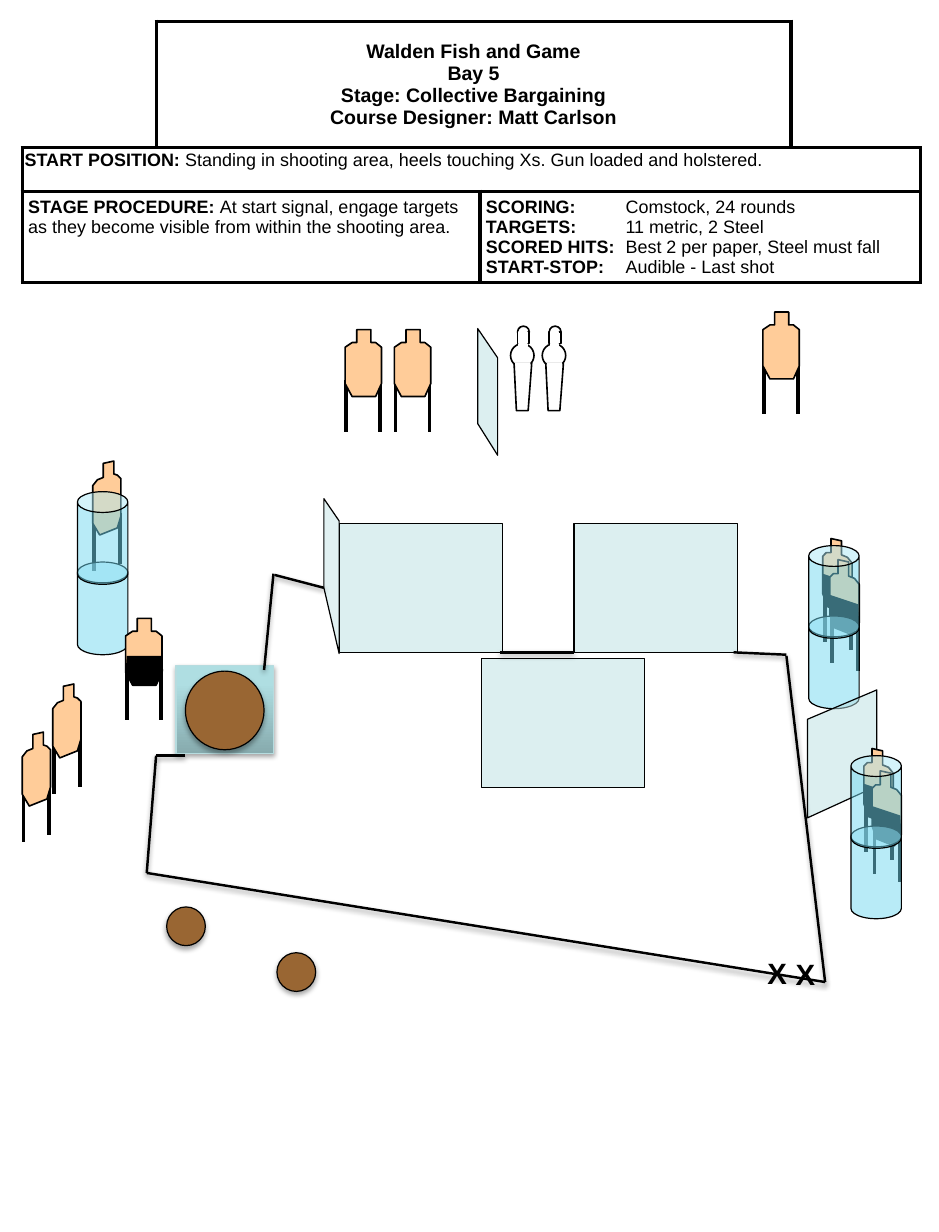
from dataclasses import dataclass
from typing import Any, Optional

from lxml.etree import SubElement
from pptx import Presentation
from pptx.dml.color import RGBColor
from pptx.enum.shapes import MSO_CONNECTOR as Link, MSO_SHAPE as Shape
from pptx.enum.text import MSO_ANCHOR as Anchor, PP_ALIGN as Align
from pptx.oxml import parse_xml
from pptx.oxml.ns import nsdecls, qn
from pptx.util import Emu, Inches, Pt

Point = tuple[float, float]

COLORS = {"ink": "000000", "paper": "FFFFFF", "cardboard": "FFCC99", "barrel": "73D9F1",
          "wall": "BBE0E3", "wood": "996633", "table edge": "B6DCDF",
          "table dark": "87ABAE", "table light": "AFDEE2"}


@dataclass(frozen=True)
class Target:
    outline: list[Point]
    legs: list[Point]
    cover: list[Point]


@dataclass(frozen=True)
class Region:
    row: int
    first: int
    last: int
    sides: str
    lines: list[tuple[str, str]]
    size: float = 11
    inset: Point = (0.05, 0.05)
    style: Optional[dict[str, Any]] = None


FRONT = Target(
    [(.1, 0), (.22, 0), (.22, .11), (.26, .11), (.31, .15), (.31, .46), (.26, .57),
     (.06, .57), (0, .46), (0, .15), (.06, .11), (.1, .11)],
    [(.01, .43), (.3, .43)],
    [(.01, .32), (.31, .32), (.32, .45), (.26, .57), (.06, .57), (0, .46)])
RIGHT = Target(
    [(.16, .02), (.07, 0), (.07, .12), (.03, .12), (0, .15), (0, .47), (.04, .58),
     (.19, .64), (.25, .54), (.25, .21), (.21, .16), (.16, .14)],
    [(.24, .51), (.02, .44)],
    [(.25, .54), (.19, .63), (.04, .58), (0, .46), (0, .3), (.24, .38)])
LEFT = Target(
    [(.09, .02), (.18, 0), (.18, .11), (.21, .12), (.24, .15), (.24, .47), (.21, .57),
     (.06, .63), (0, .53), (0, .21), (.04, .16), (.09, .14)],
    [(.01, .5), (.23, .44)], [])

REGIONS = [
    Region(0, 0, 0, "RB", []),
    Region(0, 1, 2, "LRTB", [(line, "") for line in (
        "Walden Fish and Game", "Bay 5", "Stage: Collective Bargaining",
        "Course Designer: Matt Carlson")], 12, style={"alignment": Align.CENTER}),
    Region(0, 3, 3, "LB", []),
    Region(1, 0, 3, "LRTB", [("START POSITION:", " Standing in shooting area, heels "
           "touching Xs. Gun loaded and holstered.")], inset=(0.02, 0.04),
           style={"line_spacing": 0.9}),
    Region(2, 0, 1, "LRTB", [("STAGE PROCEDURE: ", "At start signal, engage targets as "
           "they become visible from within the shooting area.")]),
    Region(2, 2, 3, "LRTB", [
        ("SCORING:", "\tComstock, 24 rounds"), ("TARGETS:", "\t11 metric, 2 Steel"),
        ("SCORED HITS:", "\tBest 2 per paper, Steel must fall"),
        ("START-STOP:", "\tAudible - Last shot")]),
]


def rgb(color: str) -> RGBColor:
    return RGBColor.from_string(COLORS[color])


def apply(thing: Any, values: dict[str, Any]) -> None:
    for name, value in values.items():
        setattr(thing, name, value)


def paint(shape: Any, fill: str, line: Optional[str] = "ink", width: float = 0.75,
          opacity: int = 100) -> None:
    shape.shadow.inherit = False
    shape.fill.solid()
    shape.fill.fore_color.rgb = rgb(fill)
    if opacity < 100:
        tint = shape.fill._xPr.find(qn("a:solidFill"))[0]
        SubElement(tint, qn("a:alpha"), val=str(opacity * 1000))
    if line is None:
        shape.line.fill.background()
    else:
        shape.line.color.rgb = rgb(line)
        shape.line.width = Pt(width)


def cast_shadow(shape: Any, opacity: int) -> None:
    properties = shape._element.spPr
    for old in properties.findall(qn("a:effectLst")):
        properties.remove(old)
    properties.append(parse_xml(
        f'<a:effectLst {nsdecls("a")}><a:outerShdw blurRad="{Pt(3.1)}" dist="{Pt(1.7)}" '
        f'dir="5400000" rotWithShape="0"><a:srgbClr val="{COLORS["ink"]}">'
        f'<a:alpha val="{opacity * 1000}"/></a:srgbClr></a:outerShdw></a:effectLst>'))


def preset(canvas: Any, kind: Any, x: float, y: float, w: float, h: float) -> Any:
    return canvas.add_shape(kind, Inches(x), Inches(y), Inches(w), Inches(h))


def outline(canvas: Any, points: list[Point], x: float = 0, y: float = 0) -> Any:
    corners = [(Inches(x + dx), Inches(y + dy)) for dx, dy in points]
    builder = canvas.build_freeform(*corners[0])
    builder.add_line_segments(corners[1:], close=True)
    return builder.convert_to_shape()


def segment(canvas: Any, start: Point, end: Point, width: float) -> Any:
    line = canvas.add_connector(Link.STRAIGHT, *(Inches(v) for v in start + end))
    line.line.color.rgb = rgb("ink")
    line.line.width = Pt(width)
    SubElement(line._element.spPr, qn("a:effectLst"))
    return line


def fault_line(canvas: Any, start: Point, end: Point) -> None:
    cast_shadow(segment(canvas, start, end, 1.5), 38)


def target(canvas: Any, kind: Target, x: float, y: float, covered: bool = False) -> None:
    group = canvas.add_group_shape().shapes
    for dx, dy in kind.legs:
        segment(group, (x + dx, y + dy), (x + dx, y + dy + .44), 2.25)
    paint(outline(group, kind.outline, x, y), "cardboard", width=1)
    if covered:
        paint(outline(group, kind.cover, x, y), "ink", None)


def barrels(canvas: Any, x: float, y: float) -> None:
    group = canvas.add_group_shape().shapes
    for top in (y + .6, y):
        can = preset(group, Shape.CAN, x, top, .43, .79)
        can.adjustments[0] = 0.413
        paint(can, "barrel", opacity=50)


def wall(canvas: Any, points: list[Point], opacity: int = 50) -> None:
    paint(outline(canvas, points), "wall", opacity=opacity)


def front_wall(canvas: Any, x: float, y: float) -> None:
    wall(canvas, [(x, y), (x + 1.39, y), (x + 1.39, y + 1.1), (x, y + 1.1)])


def drum(canvas: Any, x: float, y: float, size: float) -> None:
    disc = preset(canvas, Shape.OVAL, x, y, size, size)
    paint(disc, "wood")
    cast_shadow(disc, 35)


def drum_on_table(canvas: Any) -> None:
    group = canvas.add_group_shape().shapes
    top = preset(group, Shape.RECTANGLE, 1.5, 5.67, .83, .75)
    paint(top, "paper", "table edge")
    top.fill.gradient()
    top.fill.gradient_angle = 90
    for stop, color, place in zip(top.fill.gradient_stops, ("table dark", "table light"), (0, .8)):
        stop.color.rgb = rgb(color)
        stop.position = place
    cast_shadow(top, 35)
    drum(group, 1.58, 5.72, .67)


def popper(canvas: Any, x: float, y: float) -> None:
    group = canvas.add_group_shape().shapes
    paint(preset(group, Shape.OVAL, x + .06, y, .1, .1), "paper", width=1)
    paint(preset(group, Shape.OVAL, x, y + .15, .2, .2), "paper", width=1)
    paint(outline(group, [(.03, .32), (.18, .32), (.15, .72), (.05, .72)], x, y), "paper", width=1)
    paint(preset(group, Shape.RECTANGLE, x + .06, y + .05, .1, .1), "paper", width=1)
    paint(preset(group, Shape.RECTANGLE, x + .04, y + .31, .13, .02), "paper", None)
    for dy, height in ((.15, .02), (.05, .01)):
        paint(preset(group, Shape.RECTANGLE, x + .07, y + dy, .07, height), "paper", "paper", 1)


def write(paragraph: Any, parts: tuple[str, str], size: float) -> None:
    for text, bold in zip(parts, (True, False)):
        if text:
            run = paragraph.add_run()
            run.text = text
            apply(run.font, {"name": "Arial", "size": Pt(size), "bold": bold})
            run.font.color.rgb = rgb("ink")


def fill_region(table: Any, region: Region) -> None:
    for column in range(region.first, region.last + 1):
        cell = table.cell(region.row, column)
        cell.fill.solid()
        cell.fill.fore_color.rgb = rgb("paper")
        for place, side in enumerate("LRTB"):
            ink = (f'<a:solidFill><a:srgbClr val="{COLORS["ink"]}"/></a:solidFill>'
                   if side in region.sides else "<a:noFill/>")
            cell._tc.tcPr.insert(place, parse_xml(
                f'<a:ln{side} {nsdecls("a")} w="{Pt(2.25)}">{ink}</a:ln{side}>'))
    origin = table.cell(region.row, region.first)
    if region.last > region.first:
        origin.merge(table.cell(region.row, region.last))
    across, down = (Inches(v) for v in region.inset)
    apply(origin, {"margin_left": across, "margin_right": across, "margin_top": down,
                   "margin_bottom": down,
                   "vertical_anchor": Anchor.TOP if region.row else Anchor.MIDDLE})
    for index, parts in enumerate(region.lines):
        frame = origin.text_frame
        paragraph = frame.add_paragraph() if index else frame.paragraphs[0]
        if "\t" in parts[1]:
            stops = SubElement(paragraph._p.get_or_add_pPr(), qn("a:tabLst"))
            SubElement(stops, qn("a:tab"), pos=str(Inches(1.19)), algn="l")
        apply(paragraph, region.style or {})
        write(paragraph, parts, region.size)


def briefing(canvas: Any) -> None:
    widths, heights = (1.14, 2.76, 2.65, 1.1), (1.08, 0.37, 0.78)
    table = canvas.add_table(3, 4, Inches(.19), Inches(.18), Inches(sum(widths)),
                             Inches(sum(heights))).table
    apply(table, {"first_row": False, "horz_banding": False})
    for column, width in zip(table.columns, widths):
        column.width = Inches(width)
    for row, height in zip(table.rows, heights):
        row.height = Inches(height)
    for region in REGIONS:
        fill_region(table, region)


def heel_mark(canvas: Any, x: float, y: float) -> None:
    frame = canvas.add_textbox(Inches(x), Inches(y), Inches(.33), Inches(.4)).text_frame
    frame.word_wrap = True
    write(frame.paragraphs[0], ("X", ""), 18)


def main() -> None:
    deck = Presentation()
    apply(deck, {"slide_width": Inches(8), "slide_height": Inches(10.5)})
    bay = deck.slides.add_slide(deck.slide_layouts[6]).shapes

    target(bay, RIGHT, 7.01, 4.59, covered=True)
    target(bay, RIGHT, 7.07, 4.77, covered=True)
    barrels(bay, 6.89, 4.65)
    wall(bay, [(6.88, 6.97), (6.88, 6.13), (7.47, 5.88), (7.47, 6.7)])
    target(bay, RIGHT, 7.36, 6.38, covered=True)
    target(bay, RIGHT, 7.43, 6.57, covered=True)
    briefing(bay)
    drum_on_table(bay)
    drum(bay, 1.42, 7.73, .33)
    drum(bay, 2.36, 8.12, .33)
    front_wall(bay, 2.89, 4.46)
    front_wall(bay, 4.89, 4.46)
    for x in (4.35, 4.62):
        popper(bay, x, 2.78)
    target(bay, LEFT, .79, 3.93)
    target(bay, FRONT, 6.5, 2.66)
    barrels(bay, 7.25, 6.44)
    front_wall(bay, 4.1, 5.61)
    target(bay, LEFT, .45, 5.83)
    wall(bay, [(4.24, 3.88), (4.24, 3.05), (4.07, 2.8), (4.07, 3.61)])
    wall(bay, [(2.76, 5.01), (2.89, 5.57), (2.89, 4.44), (2.76, 4.25)], 44)
    target(bay, LEFT, .19, 6.24)
    barrels(bay, .66, 4.19)
    target(bay, FRONT, 1.07, 5.27, covered=True)
    for start, end in (((7.03, 8.37), (1.25, 7.44)), ((7.03, 8.37), (6.7, 5.59)),
                       ((1.58, 6.44), (1.33, 6.44)), ((1.25, 7.44), (1.33, 6.44)),
                       ((4.89, 5.56), (4.26, 5.56)), ((6.7, 5.58), (6.25, 5.56)),
                       ((2.25, 5.71), (2.33, 4.89)), ((2.76, 5.01), (2.34, 4.9))):
        fault_line(bay, start, end)
    for x in (2.94, 3.36):
        target(bay, FRONT, x, 2.81)
    heel_mark(bay, 6.44, 8.09)
    heel_mark(bay, 6.68, 8.1)
    deck.save("out.pptx")


if __name__ == "__main__":
    main()
